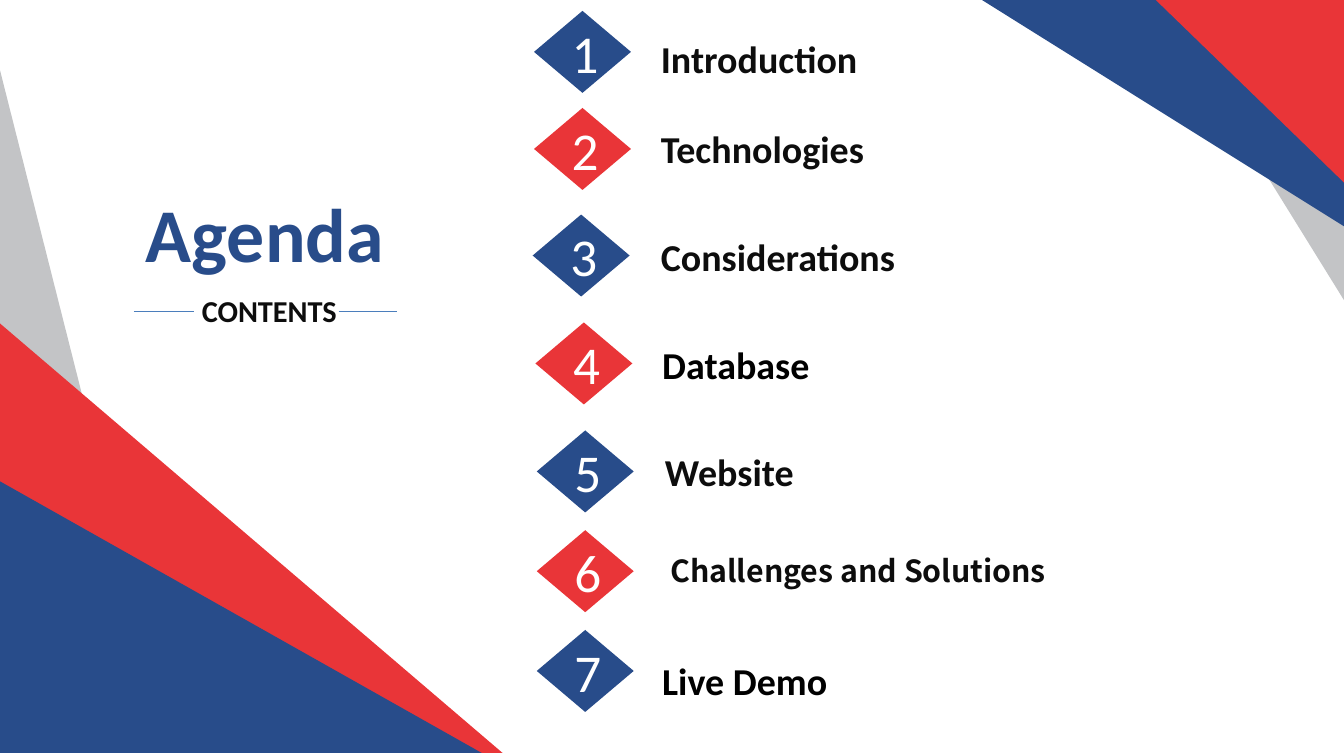
from lxml import etree
from pptx import Presentation
from pptx.dml.color import RGBColor
from pptx.enum.shapes import MSO_CONNECTOR, MSO_SHAPE
from pptx.enum.text import MSO_ANCHOR, MSO_AUTO_SIZE, PP_ALIGN
from pptx.oxml.ns import qn
from pptx.util import Inches, Pt

RECTANGLE = MSO_SHAPE.RECTANGLE
DIAMOND = MSO_SHAPE.DIAMOND
STRAIGHT = MSO_CONNECTOR.STRAIGHT
MIDDLE = MSO_ANCHOR.MIDDLE
CENTER = PP_ALIGN.CENTER
GROW = MSO_AUTO_SIZE.SHAPE_TO_FIT_TEXT

BLUE = RGBColor(0x28, 0x4C, 0x8A)
RED = RGBColor(0xE9, 0x35, 0x38)
GRAY = RGBColor(0xC3, 0xC4, 0xC6)
RULE_BLUE = RGBColor(0x4B, 0x7E, 0xBC)
INK = RGBColor(0x0D, 0x0D, 0x0D)
BLACK = RGBColor(0x00, 0x00, 0x00)
WHITE = RGBColor(0xFF, 0xFF, 0xFF)

BODY_FONT = "Calibri"
WIDE_FONT = "Noto Sans CJK SC"

BAND_HEIGHT = 2.68
SHORT_BAND, LONG_BAND = 5.04, 9.86
BANDS = [
    (-3.68, 0.05, SHORT_BAND, 255.8, GRAY),
    (8.18, -0.3, SHORT_BAND, 238.2, GRAY),
    (6.35, -1.87, SHORT_BAND, 32, BLUE),
    (4.91, -1.87, LONG_BAND, 44.1, RED),
    (-4.18, 3.43, LONG_BAND, 40.5, RED),
    (-1.1, 4.52, SHORT_BAND, 29.4, BLUE),
]

RULE_Y = 2.28
RULES = [(0.98, 1.42), (2.48, 2.91)]

TOPICS = [
    ("Introduction", 3.91, 0.08, 4.74, 0.21, 3.32, 20, BODY_FONT, INK),
    ("Technologies", 3.91, 0.79, 4.74, 0.87, 3.32, 20, BODY_FONT, INK),
    ("Considerations", 3.9, 1.57, 4.74, 1.66, 2.91, 20, BODY_FONT, INK),
    ("Database", 3.92, 2.36, 4.75, 2.45, 3.48, 20, BODY_FONT, BLACK),
    ("Website", 3.93, 3.15, 4.77, 3.23, 2.91, 20, BODY_FONT, INK),
    ("Challenges and Solutions", 3.93, 3.88, 4.81, 3.99, 3.89, 16, WIDE_FONT, INK),
    ("Live Demo", 3.93, 4.61, 4.75, 4.76, 3.48, 20, BODY_FONT, BLACK),
]


class AgendaPage:
    def __init__(self, deck):
        self.page = deck.slides.add_slide(deck.slide_layouts[6])

    def shape(self, kind, left, top, width, height, color):
        shape = self.page.shapes.add_shape(
            kind, Inches(left), Inches(top), Inches(width), Inches(height))
        shape.shadow.inherit = False
        shape.fill.solid()
        shape.fill.fore_color.rgb = color
        shape.line.fill.background()
        return shape

    def band(self, left, top, width, angle, color):
        band = self.shape(RECTANGLE, left, top, width, BAND_HEIGHT, color)
        band.rotation = angle

    def add_span(self, para, words, size, color, font=BODY_FONT, bold=False):
        span = para.add_run()
        span.text = words
        span.font.size = Pt(size)
        span.font.name = font
        span.font.bold = bold
        span.font.color.rgb = color

    def badge(self, number, left, top):
        color = BLUE if number % 2 else RED
        badge = self.shape(DIAMOND, left, top, 0.71, 0.6, color)
        badge.text_frame.vertical_anchor = MIDDLE
        para = badge.text_frame.paragraphs[0]
        para.alignment = CENTER
        self.add_span(para, str(number), 28, WHITE)

    def label(self, words, left, top, width, height, size, color, font=BODY_FONT):
        box = self.page.shapes.add_textbox(
            Inches(left), Inches(top), Inches(width), Inches(height))
        box.text_frame.word_wrap = True
        box.text_frame.auto_size = GROW
        self.add_span(box.text_frame.paragraphs[0], words, size, color, font, True)

    def rule(self, start, end):
        rule = self.page.shapes.add_connector(
            STRAIGHT, Inches(start), Inches(RULE_Y), Inches(end), Inches(RULE_Y))
        rule.line.color.rgb = RULE_BLUE
        rule.line.width = Pt(0.75)
        etree.SubElement(rule._element.spPr, qn("a:effectLst"))


def main():
    deck = Presentation()
    deck.slide_width = Inches(9.84)
    deck.slide_height = Inches(5.51)
    agenda = AgendaPage(deck)

    for band in BANDS:
        agenda.band(*band)

    agenda.label("Agenda", 0.97, 1.32, 2.45, 0.77, 40, BLUE)
    agenda.label("CONTENTS", 1.38, 2.09, 2.04, 0.37, 16, INK)
    for start, end in RULES:
        agenda.rule(start, end)

    for number, topic in enumerate(TOPICS, 1):
        words, badge_left, badge_top, left, top, width, size, font, color = topic
        agenda.badge(number, badge_left, badge_top)
        height = 0.44 if size == 20 else 0.37
        agenda.label(words, left, top, width, height, size, color, font)

    deck.save("out.pptx")


if __name__ == "__main__":
    main()
